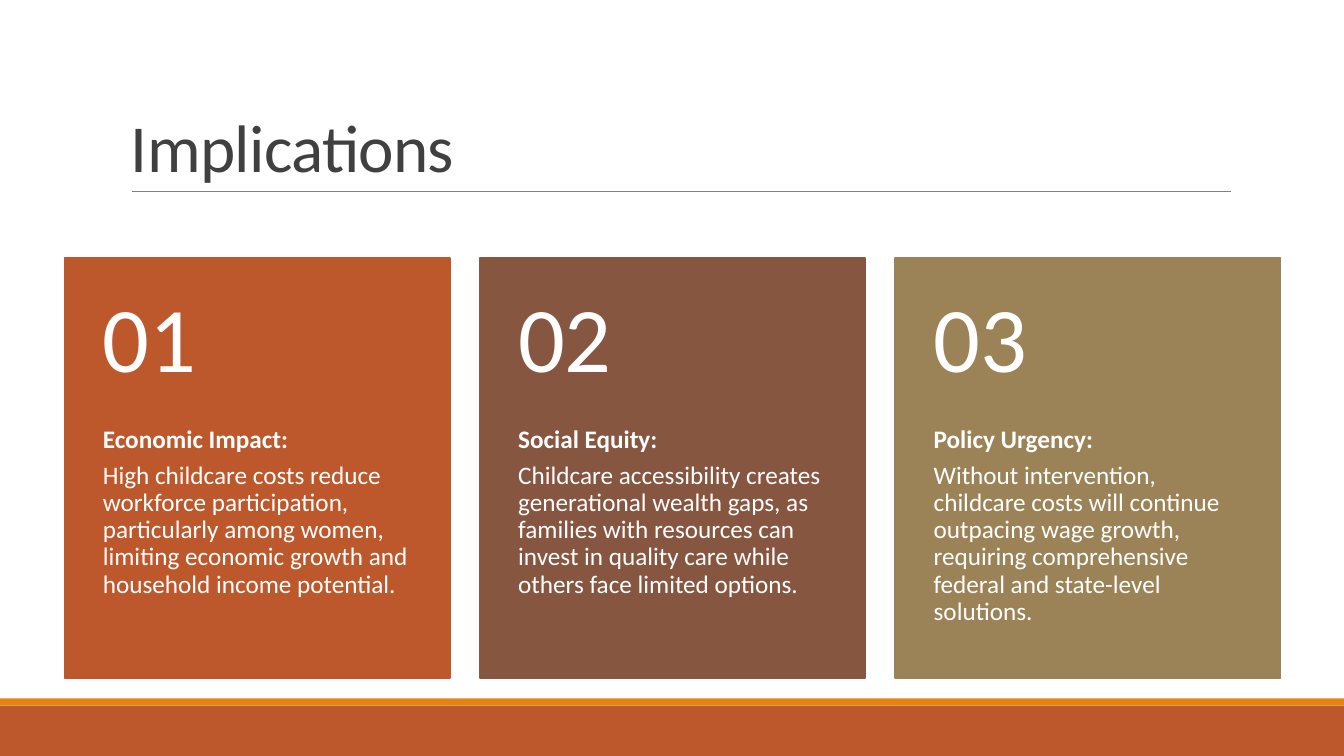
from dataclasses import dataclass

import pptx
import pptx.dml.color
import pptx.enum.shapes
import pptx.enum.text
import pptx.oxml.ns
import pptx.util
from lxml import etree

Inches = pptx.util.Inches
Pt = pptx.util.Pt
Anchor = pptx.enum.text.MSO_ANCHOR


@dataclass(frozen=True)
class Theme:
    font: str = "Calibri"
    white: str = "FFFFFF"
    ink: str = "404040"
    rule: str = "808080"
    rust: str = "BD582C"
    amber: str = "E48312"
    brown: str = "865640"
    sand: str = "9B8357"
    title: float = 48
    number: float = 66
    body: float = 18


THEME = Theme()
WIDE, HIGH = 13.33, 7.5
LEFT, TOP, STEP = 0.64, 2.56, 4.12
CARD_W, HEAD_H, BODY_H = 3.82, 1.67, 2.5
PAD = 0.38

CARDS = [
    (THEME.rust, "Economic Impact:",
     "High childcare costs reduce workforce participation, particularly among "
     "women, limiting economic growth and household income potential."),
    (THEME.brown, "Social Equity:",
     "Childcare accessibility creates generational wealth gaps, as families "
     "with resources can invest in quality care while others face limited options."),
    (THEME.sand, "Policy Urgency:",
     "Without intervention, childcare costs will continue outpacing wage growth, "
     "requiring comprehensive federal and state-level solutions."),
]


def color(code):
    return pptx.dml.color.RGBColor.from_string(code)


def add_rect(slide, box, fill, edge=0):
    """Add a plain rectangle; edge is the outline width in points."""
    rect = slide.shapes.add_shape(
        pptx.enum.shapes.MSO_SHAPE.RECTANGLE, *map(Inches, box))
    rect.shadow.inherit = False
    rect.fill.solid()
    rect.fill.fore_color.rgb = color(fill)
    if edge:
        rect.line.color.rgb = color(fill)
        rect.line.width = Pt(edge)
    else:
        rect.line.fill.background()


def add_rule(slide, start, end, y):
    line = slide.shapes.add_connector(
        pptx.enum.shapes.MSO_CONNECTOR.STRAIGHT,
        Inches(start), Inches(y), Inches(end), Inches(y))
    line.line.color.rgb = color(THEME.rule)
    line.line.width = Pt(0.5)
    etree.SubElement(line._element.spPr, pptx.oxml.ns.qn("a:effectLst"))


def add_text(slide, box, lines, size, tint, anchor, inset, pitch=0.9, after=0, track=0):
    """Add a text box; each line is (text, bold), track is in points."""
    frame = slide.shapes.add_textbox(*map(Inches, box)).text_frame
    frame.word_wrap = True
    frame.vertical_anchor = anchor
    (frame.margin_left, frame.margin_top,
     frame.margin_right, frame.margin_bottom) = map(Inches, inset)
    for place, (text, bold) in enumerate(lines):
        para = frame.add_paragraph() if place else frame.paragraphs[0]
        para.line_spacing = pitch
        para.space_after = Pt(after)
        run = para.add_run()
        run.text = text
        run.font.name = THEME.font
        run.font.size = Pt(size)
        run.font.bold = bold
        run.font.color.rgb = color(tint)
        if track:
            run._r.get_or_add_rPr().set("spc", str(round(track * 100)))


def add_card(slide, index, fill, head, body):
    left = LEFT + index * STEP
    add_rect(slide, (left, TOP, CARD_W, HEAD_H + BODY_H), fill, 1.25)
    add_text(slide, (left, TOP + HEAD_H, CARD_W, BODY_H),
             [(head, True), (body, False)], THEME.body, THEME.white,
             Anchor.TOP, (PAD, 0, PAD, 0.36), after=0.35 * THEME.body)
    add_text(slide, (left, TOP, CARD_W, HEAD_H),
             [(f"{index + 1:02}", False)], THEME.number, THEME.white,
             Anchor.MIDDLE, (PAD, 0.18, PAD, 0.18))


def main():
    deck = pptx.Presentation()
    deck.slide_width, deck.slide_height = Inches(WIDE), Inches(HIGH)
    slide = deck.slides.add_slide(deck.slide_layouts[6])
    add_rect(slide, (0, 7, WIDE, 0.5), THEME.rust)
    add_rect(slide, (0, 6.93, WIDE, 0.07), THEME.amber)
    add_rule(slide, 1.31, 12.21, 1.9)
    add_text(slide, (1.2, 0.31, 11, 1.59), [("Implications", False)],
             THEME.title, THEME.ink, Anchor.BOTTOM, (0.1, 0.05, 0.1, 0.05),
             pitch=0.85, track=-0.5)
    for index, card in enumerate(CARDS):
        add_card(slide, index, *card)
    deck.save("out.pptx")


if __name__ == "__main__":
    main()
